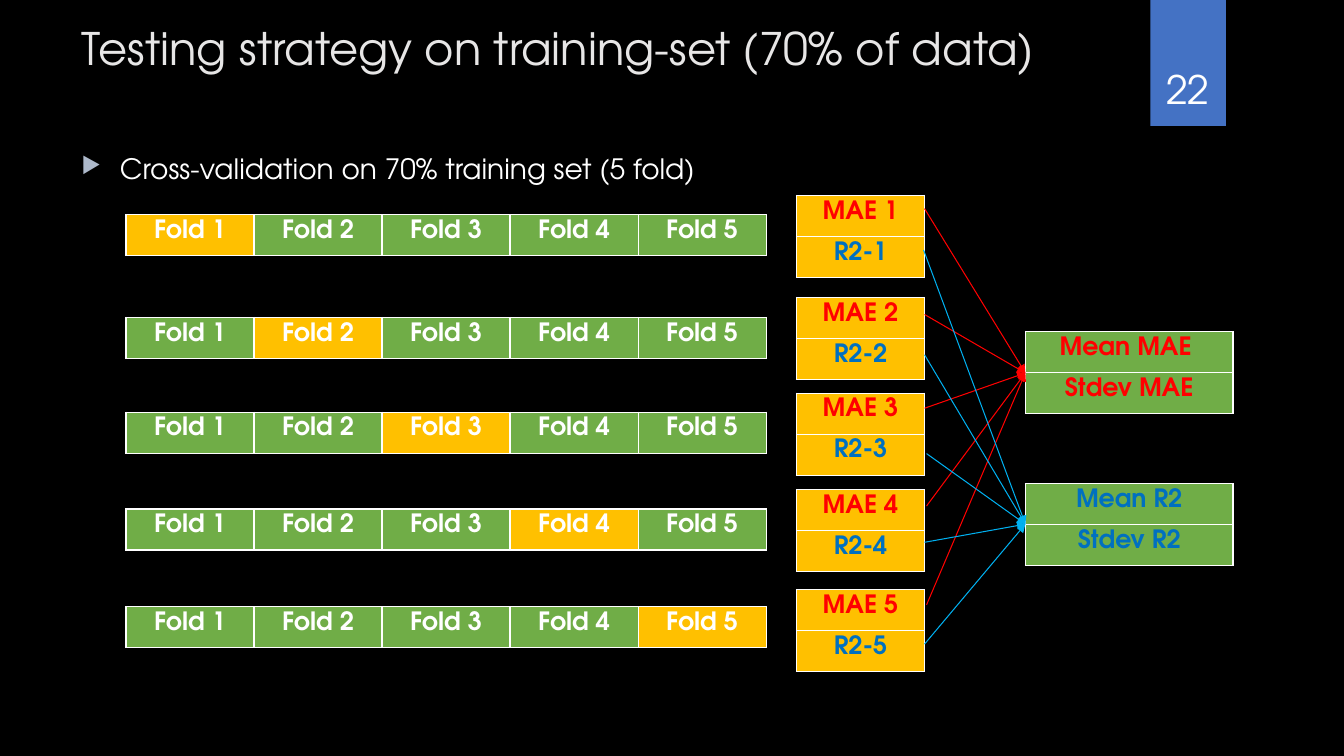
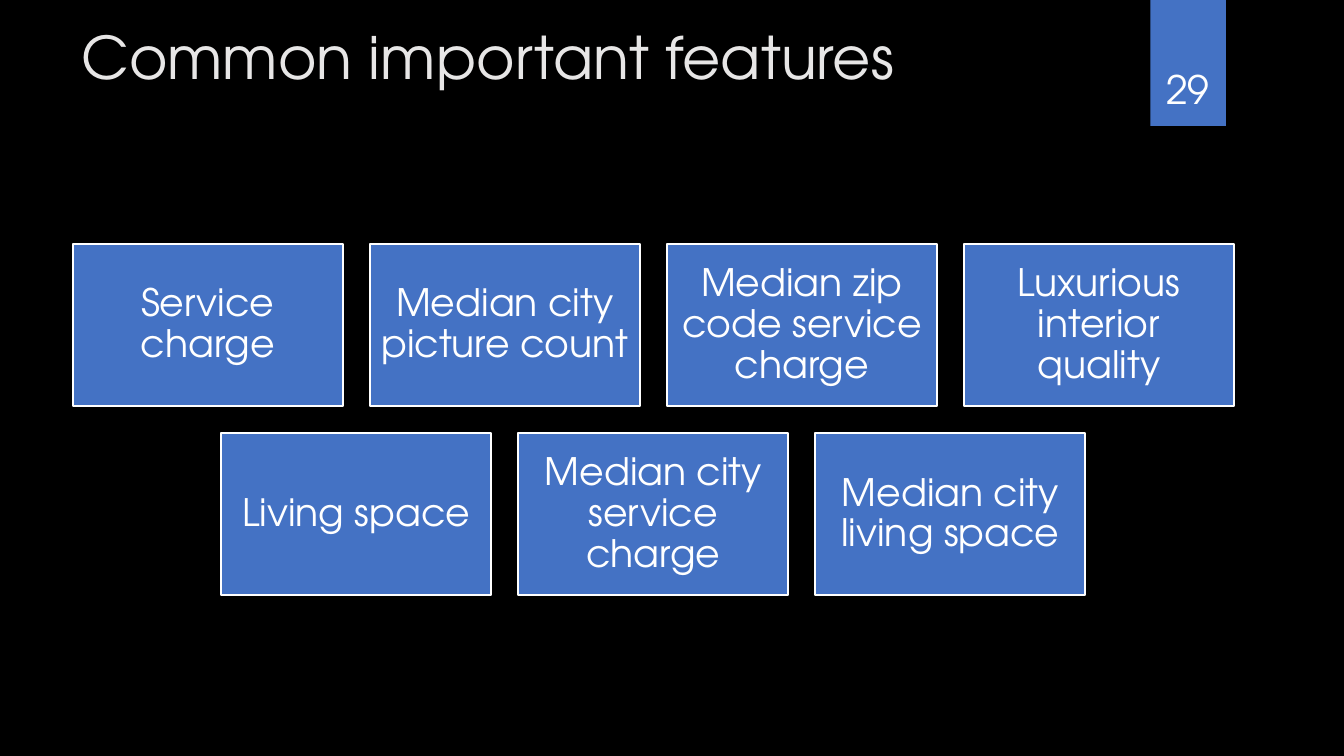
import dataclasses

import pptx
import pptx.dml.color
import pptx.enum.shapes
import pptx.enum.text
import pptx.oxml
import pptx.oxml.ns
import pptx.util
from pptx.util import Inches, Pt

# Shared style
FONT = "TeX Gyre Adventor"
COLORS = {
    "background": "000000", "title": "E7E6E6", "text": "FFFFFF",
    "accent": "4472C4", "bullet": "ADB9CA", "train": "70AD47", "test": "FFC000",
    "mae": "FF0000", "r2": "0070C0", "r2_arrow": "00B0F0",
}
ALIGN = pptx.enum.text.PP_ALIGN
ANCHOR = pptx.enum.text.MSO_ANCHOR
NS = pptx.oxml.ns.nsdecls("a")


@dataclasses.dataclass
class Cell:
    text: str
    fill: str
    color: str = "text"


@dataclasses.dataclass
class FoldRow:
    top: float
    score_top: float
    mae_start: tuple[float, float]
    r2_start: tuple[float, float]


@dataclasses.dataclass
class Summary:
    top: float
    labels: tuple[str, str]
    color: str


# Slide content
FOLD_ROWS = [
    FoldRow(2.13, 1.94, (9.17, 2.07), (9.16, 2.48)),
    FoldRow(3.15, 2.95, (9.17, 3.12), (9.17, 3.52)),
    FoldRow(4.09, 3.90, (9.17, 4.05), (9.19, 4.50)),
    FoldRow(5.05, 4.86, (9.19, 5.02), (9.17, 5.38)),
    FoldRow(6.02, 5.85, (9.19, 6.00), (9.17, 6.39)),
]
SUMMARIES = [
    Summary(3.29, ("Mean MAE ", "Stdev MAE"), "mae"),
    Summary(4.80, ("Mean R2", "Stdev R2"), "r2"),
]
FEATURE_ROWS = [
    ["Service charge", "Median city picture count",
     "Median zip code service charge", "Luxurious interior quality"],
    ["Living space", "Median city service charge", "Median city living space"],
]


def rgb(name: str) -> pptx.dml.color.RGBColor:
    return pptx.dml.color.RGBColor.from_string(COLORS[name])


def write(tf, text: str, size: float, color: str = "text", align=ALIGN.CENTER, bold: bool = False):
    """Fill a text frame with one formatted paragraph and return it."""
    p = tf.paragraphs[0]
    p.text = text
    p.alignment = align
    font = p.runs[0].font
    font.name, font.size, font.bold = FONT, Pt(size), bold
    font.color.rgb = rgb(color)
    return p


def add_text(s, left: float, top: float, width: float, height: float, text: str,
             size: float, color: str = "text", align=ALIGN.LEFT, anchor=ANCHOR.TOP):
    sp = s.shapes.add_textbox(Inches(left), Inches(top), Inches(width), Inches(height))
    tf = sp.text_frame
    tf.word_wrap = True
    tf.vertical_anchor = anchor
    return write(tf, text, size, color, align)


def add_box(s, left: float, top: float, width: float, height: float):
    sp = s.shapes.add_shape(pptx.enum.shapes.MSO_SHAPE.RECTANGLE,
                            Inches(left), Inches(top), Inches(width), Inches(height))
    sp.shadow.inherit = False
    sp.fill.solid()
    sp.fill.fore_color.rgb = rgb("accent")
    sp.line.fill.background()
    return sp


def add_slide(prs, title: str, title_size: float, number: int):
    """Start a slide with background, title and page number badge."""
    s = prs.slides.add_slide(prs.slide_layouts[6])
    s.background.fill.solid()
    s.background.fill.fore_color.rgb = rgb("background")
    add_box(s, 11.41, 0, 0.75, 1.25)
    add_text(s, 0.71, 0.16, 10.6, 1.25, title, title_size, "title")
    add_text(s, 11.32, 0.32, 0.92, 0.84, str(number), 28,
             align=ALIGN.CENTER, anchor=ANCHOR.BOTTOM)
    return s


def add_grid(s, left: float, top: float, col_width: float, rows: list[list[Cell]]) -> None:
    """Draw a table with equal columns and white cell borders."""
    row_height = 0.407
    n_cols = len(rows[0])
    table = s.shapes.add_table(len(rows), n_cols, Inches(left), Inches(top),
                               Inches(col_width * n_cols), Inches(row_height * len(rows))).table
    table.first_row = table.horz_banding = False
    for column in table.columns:
        column.width = Inches(col_width)
    for i, row in enumerate(rows):
        for j, item in enumerate(row):
            cell = table.cell(i, j)
            cell.fill.solid()
            cell.fill.fore_color.rgb = rgb(item.fill)
            write(cell.text_frame, item.text, 18, item.color, bold=True)
            tc_pr = cell._tc.get_or_add_tcPr()
            for k, side in enumerate(("lnL", "lnR", "lnT", "lnB")):
                tc_pr.insert(k, pptx.oxml.parse_xml(
                    f'<a:{side} {NS} w="12700"><a:solidFill>'
                    f'<a:srgbClr val="{COLORS["text"]}"/></a:solidFill></a:{side}>'))


def add_arrow(s, start: tuple[float, float], end: tuple[float, float], color: str) -> None:
    line = s.shapes.add_connector(pptx.enum.shapes.MSO_CONNECTOR.STRAIGHT,
                                  *(Inches(v) for v in (*start, *end)))
    line.line.color.rgb = rgb(color)
    line.line.width = Pt(0.75)
    line.line._get_or_add_ln().append(pptx.oxml.parse_xml(f'<a:tailEnd {NS} type="triangle"/>'))
    line._element.spPr.append(pptx.oxml.parse_xml(f"<a:effectLst {NS}/>"))


def add_bullet(p) -> None:
    """Give a paragraph a hanging triangle bullet."""
    p.space_before = Pt(10)
    p_pr = p._p.get_or_add_pPr()
    p_pr.set("marL", str(Inches(0.38)))
    p_pr.set("indent", str(-Inches(0.38)))
    for xml in (f'<a:buClr {NS}><a:srgbClr val="{COLORS["bullet"]}"/></a:buClr>',
                f'<a:buSzPct {NS} val="80000"/>',
                f'<a:buChar {NS} char="▶"/>'):
        p_pr.append(pptx.oxml.parse_xml(xml))


def build_validation(prs) -> None:
    s = add_slide(prs, "Testing strategy on training-set (70% of data)", 32, 22)
    add_bullet(add_text(s, 0.71, 1.45, 11.52, 0.6,
                        "Cross-validation on 70% training set (5 fold)", 20))

    # Folds and their scores
    count = len(FOLD_ROWS)
    for n, row in enumerate(FOLD_ROWS, 1):
        folds = [Cell(f"Fold {k}", "test" if k == n else "train") for k in range(1, count + 1)]
        add_grid(s, 1.25, row.top, 1.27, [folds])
        add_grid(s, 7.9, row.score_top, 1.27,
                 [[Cell(f"MAE {n}", "test", "mae")], [Cell(f"R2-{n}", "test", "r2")]])

    # Summary statistics
    for summary in SUMMARIES:
        add_grid(s, 10.17, summary.top, 2.06,
                 [[Cell(label, "train", summary.color)] for label in summary.labels])

    # Arrows from scores to summaries
    for row in FOLD_ROWS:
        add_arrow(s, row.mae_start, (10.17, 3.7), "mae")
    for row in FOLD_ROWS:
        add_arrow(s, row.r2_start, (10.17, 5.2), "r2_arrow")


def build_features(prs) -> None:
    s = add_slide(prs, "Common important features", 42, 29)
    width, height, gap, center = 2.68, 1.61, 0.266, 6.48

    # Rows of cards, each centred
    for i, names in enumerate(FEATURE_ROWS):
        left = center - (len(names) * (width + gap) - gap) / 2
        for j, name in enumerate(names):
            sp = add_box(s, left + j * (width + gap), 2.42 + i * (height + gap), width, height)
            sp.line.color.rgb = rgb("text")
            sp.line.width = Pt(1.5)
            tf = sp.text_frame
            tf.word_wrap = True
            tf.vertical_anchor = ANCHOR.MIDDLE
            tf.margin_left = tf.margin_right = tf.margin_top = tf.margin_bottom = Inches(0.11)
            p = write(tf, name, 27)
            p.line_spacing = 0.9
            p.space_after = Pt(9)


def main() -> None:
    prs = pptx.Presentation()
    prs.slide_width, prs.slide_height = Inches(13.33), Inches(7.5)
    build_validation(prs)
    build_features(prs)
    prs.save("out.pptx")


if __name__ == "__main__":
    main()
